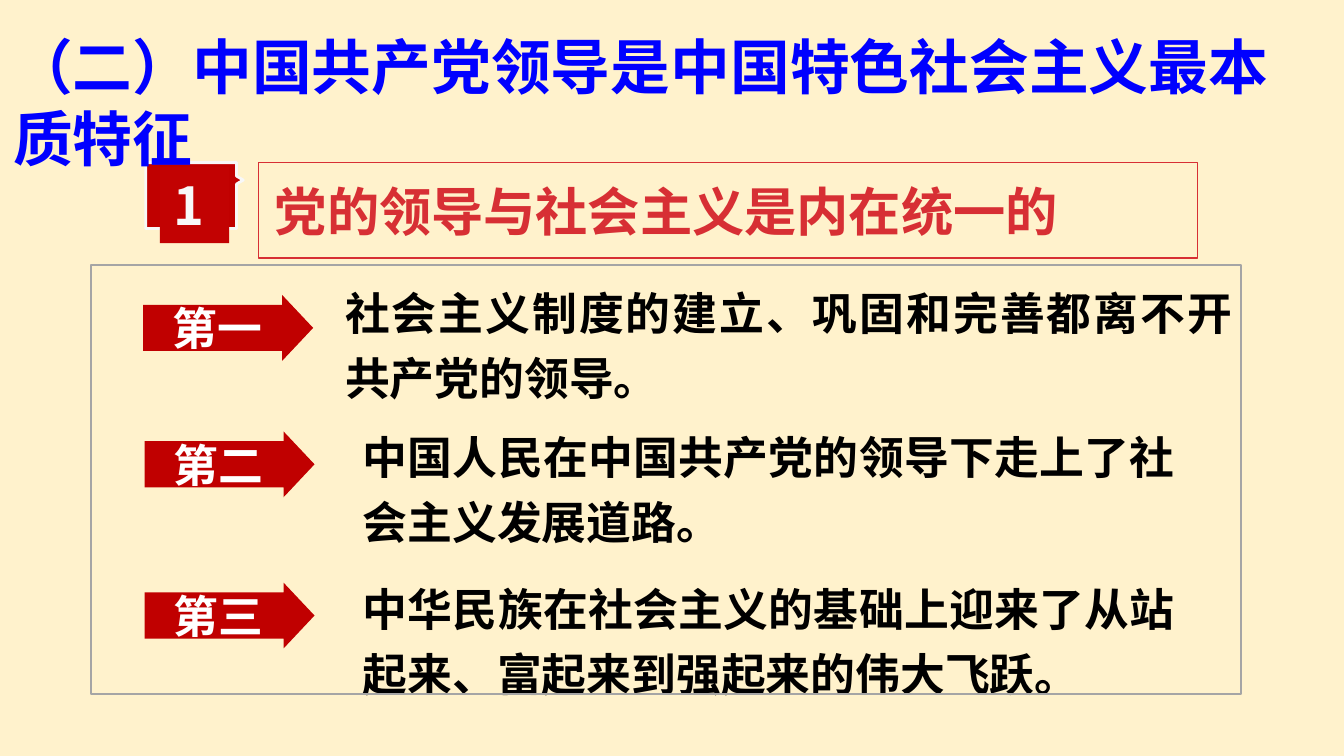
from lxml import etree
from pptx import Presentation
from pptx.dml.color import RGBColor
from pptx.enum.shapes import MSO_SHAPE
from pptx.enum.text import MSO_ANCHOR, MSO_AUTO_SIZE, PP_ALIGN
from pptx.oxml.ns import qn
from pptx.util import Pt

PX = 4572  # EMU in one px, 200 px to the inch

RECTANGLE, ARROW = MSO_SHAPE.RECTANGLE, MSO_SHAPE.RIGHT_ARROW
ROUNDED = MSO_SHAPE.ROUNDED_RECTANGLE
TOP, MIDDLE = MSO_ANCHOR.TOP, MSO_ANCHOR.MIDDLE
GROW, FIXED = MSO_AUTO_SIZE.SHAPE_TO_FIT_TEXT, MSO_AUTO_SIZE.NONE
LEFT, CENTER, JUSTIFY = PP_ALIGN.LEFT, PP_ALIGN.CENTER, PP_ALIGN.JUSTIFY

CREAM = RGBColor(0xFF, 0xF2, 0xCC)
BLUE = RGBColor(0x00, 0x00, 0xFF)
DARK_RED = RGBColor(0xC0, 0x00, 0x00)
BADGE_RED = RGBColor(0xC2, 0x02, 0x02)
BRIGHT_RED = RGBColor(0xD7, 0x2F, 0x34)
OFF_WHITE = RGBColor(0xF8, 0xF8, 0xF8)
WHITE = RGBColor(0xFF, 0xFF, 0xFF)
BLACK = RGBColor(0x00, 0x00, 0x00)
GRAY = RGBColor(0xA5, 0xA5, 0xA5)

HAN_FONT = "Noto Sans CJK SC"

# Label, arrow corner, text box and text of each point
POINTS = [
    ("第一", (213, 439), (494, 400, 1360, 214),
     "社会主义制度的建立、巩固和完善都离不开共产党的领导。"),
    ("第二", (215, 642), (520, 614, 1248, 206),
     "中国人民在中国共产党的领导下走上了社会主义发展道路。"),
    ("第三", (215, 867), (520, 840, 1248, 206),
     "中华民族在社会主义的基础上迎来了从站起来、富起来到强起来的伟大飞跃。"),
]


def emu(*lengths):
    return [length * PX for length in lengths]


def paint(shape, fill=None, line=None, width=1):
    shape.shadow.inherit = False
    if fill is None:
        shape.fill.background()
    else:
        shape.fill.solid()
        shape.fill.fore_color.rgb = fill
    if line is None:
        shape.line.fill.background()
    else:
        shape.line.color.rgb = line
        shape.line.width = Pt(width)


def add_shape(page, kind, box, **colors):
    shape = page.shapes.add_shape(kind, *emu(*box))
    paint(shape, **colors)
    return shape


def write(shape, text, size, color, align=LEFT, anchor=TOP, fit=GROW,
          inset=(20, 10), spacing=None, font=HAN_FONT):
    frame = shape.text_frame
    frame.word_wrap = True
    frame.auto_size = fit
    frame.vertical_anchor = anchor
    frame.margin_left = frame.margin_right = inset[0] * PX
    frame.margin_top = frame.margin_bottom = inset[1] * PX
    para = frame.paragraphs[0]
    para.alignment = align
    if spacing:
        para.line_spacing = spacing
    span = para.add_run()
    span.text = text
    span.font.size = Pt(size)
    span.font.bold = True
    span.font.color.rgb = color
    span.font.name = font
    # East Asian typeface, next to the Latin one
    latin = span.font._element.find(qn("a:latin"))
    east_asian = etree.Element(qn("a:ea"), typeface=HAN_FONT)
    latin.addnext(east_asian)


def add_title(page, box):
    write(page.shapes.add_textbox(*emu(*box)),
          "（二）中国共产党领导是中国特色社会主义最本质特征", 32, BLUE, font="Arial")


def add_heading(page, box):
    left, top, width, height = box
    # Flag with a small pointer on its right side
    outline = [(145, 26), (135, 20), (135, 0), (0, 0), (0, 98), (135, 98), (135, 32)]
    corners = [(left + x, top + y) for x, y in outline]
    builder = page.shapes.build_freeform(*corners[0], scale=PX)
    builder.add_line_segments(corners[1:], close=True)
    paint(builder.convert_to_shape(), fill=DARK_RED, line=OFF_WHITE, width=1.5)
    # Number
    badge = add_shape(page, RECTANGLE, (left + 21, top + 6, 103, 114), fill=BADGE_RED)
    write(badge, "1", 28, OFF_WHITE)
    # Framed heading
    frame = add_shape(page, RECTANGLE, (left + 168, top, width - 168, height),
                      line=BRIGHT_RED, width=0.75)
    write(frame, "党的领导与社会主义是内在统一的", 28, BRIGHT_RED, inset=(24, 24))


def add_point(page, label, corner, box, text):
    write(page.shapes.add_textbox(*emu(*box)), text, 24, BLACK,
          align=JUSTIFY, spacing=1.2)
    arrow = add_shape(page, ARROW, (*corner, 253, 98), fill=DARK_RED)
    arrow.adjustments[0] = 0.7
    arrow.adjustments[1] = 0.47
    write(arrow, label, 24, WHITE, align=CENTER, anchor=MIDDLE, fit=FIXED,
          inset=(26, 14))


def add_panel(page, box):
    panel = add_shape(page, ROUNDED, box, line=GRAY, width=1)
    panel.adjustments[0] = 0


def main():
    deck = Presentation()
    deck.slide_width, deck.slide_height = emu(2000, 1125)
    page = deck.slides.add_slide(deck.slide_layouts[6])
    page.background.fill.solid()
    page.background.fill.fore_color.rgb = CREAM

    add_heading(page, (217, 242, 1565, 142))
    for point in POINTS:
        add_point(page, *point)
    add_panel(page, (136, 394, 1711, 639))
    add_title(page, (0, 35, 1944, 236))
    deck.save("out.pptx")


if __name__ == "__main__":
    main()
